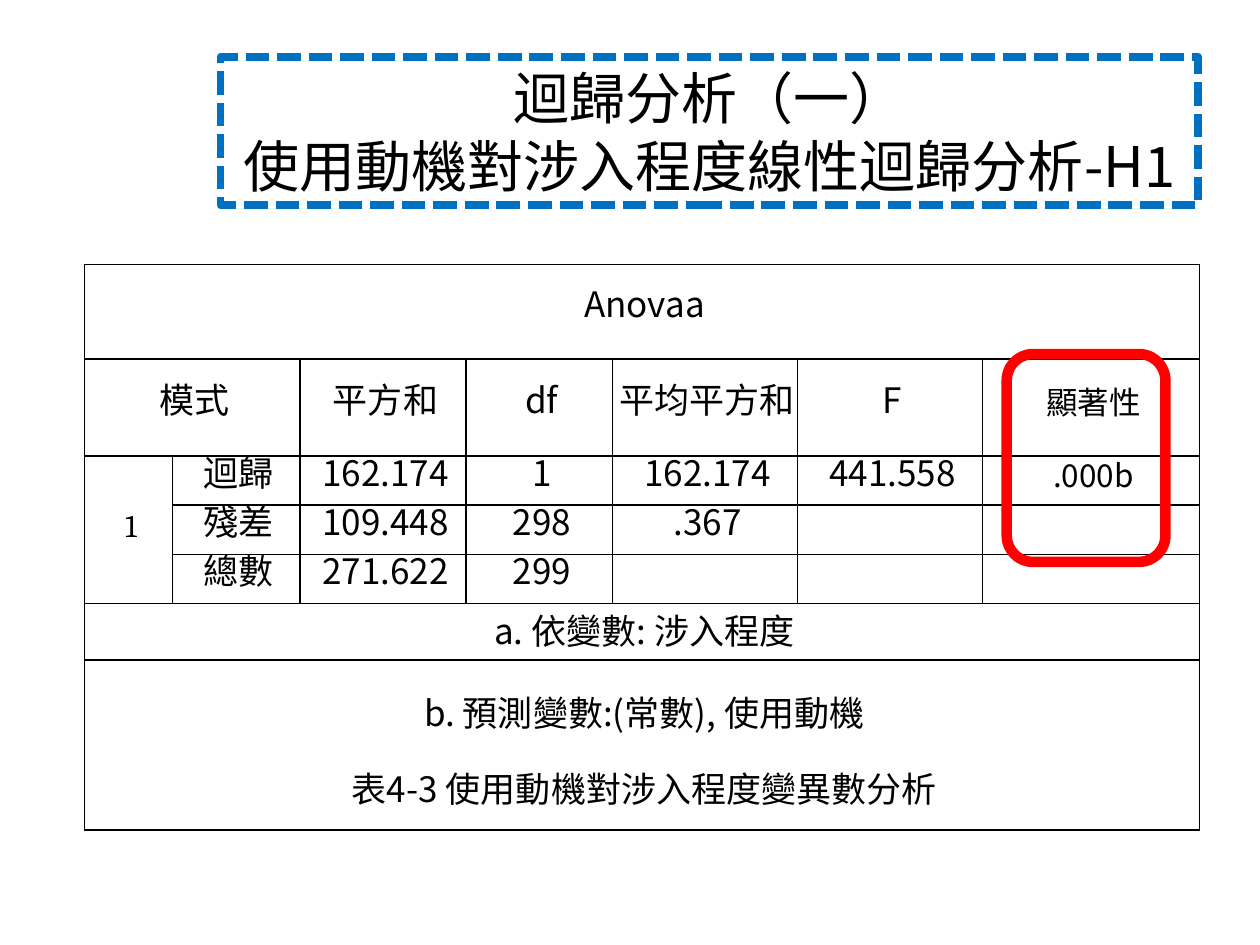
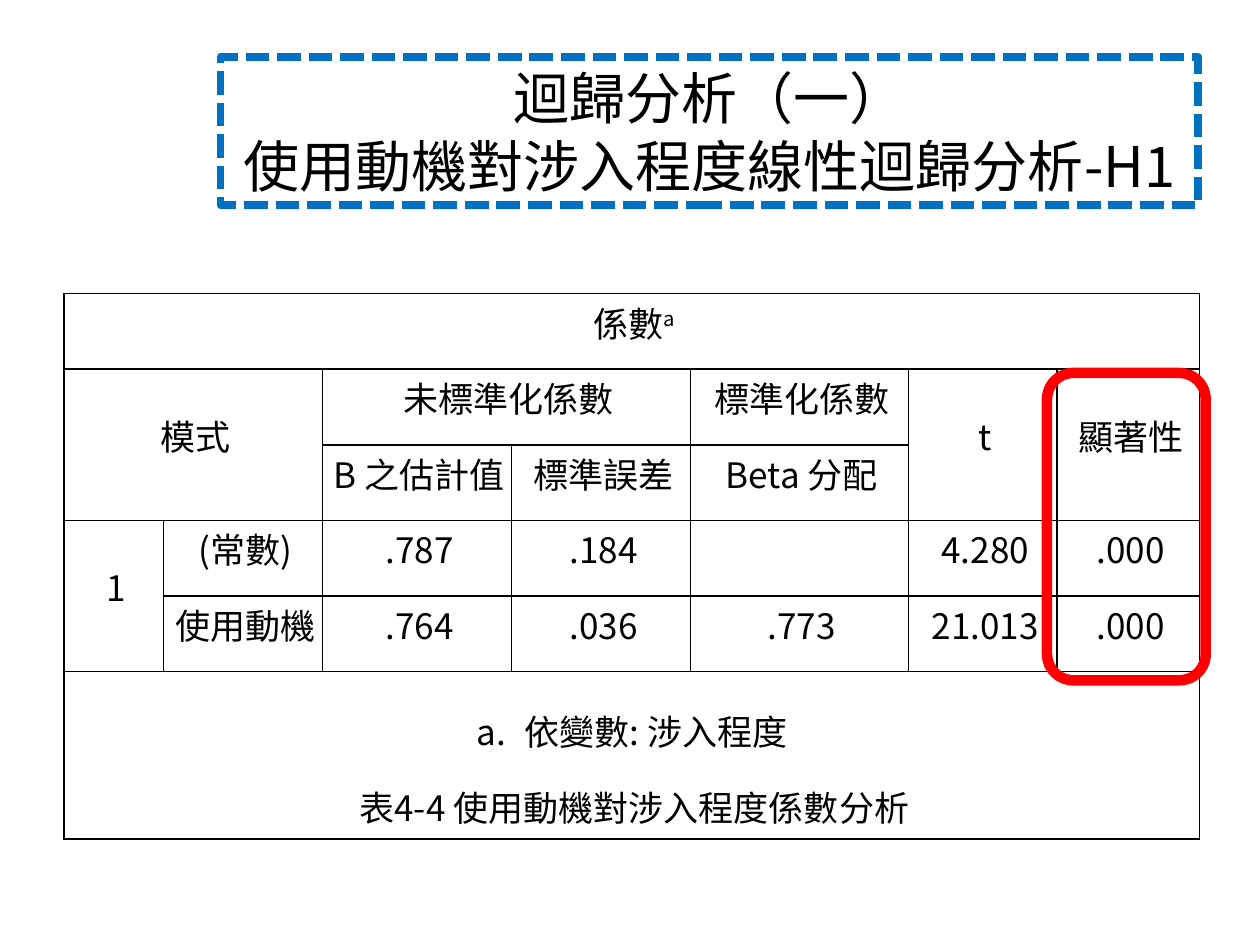
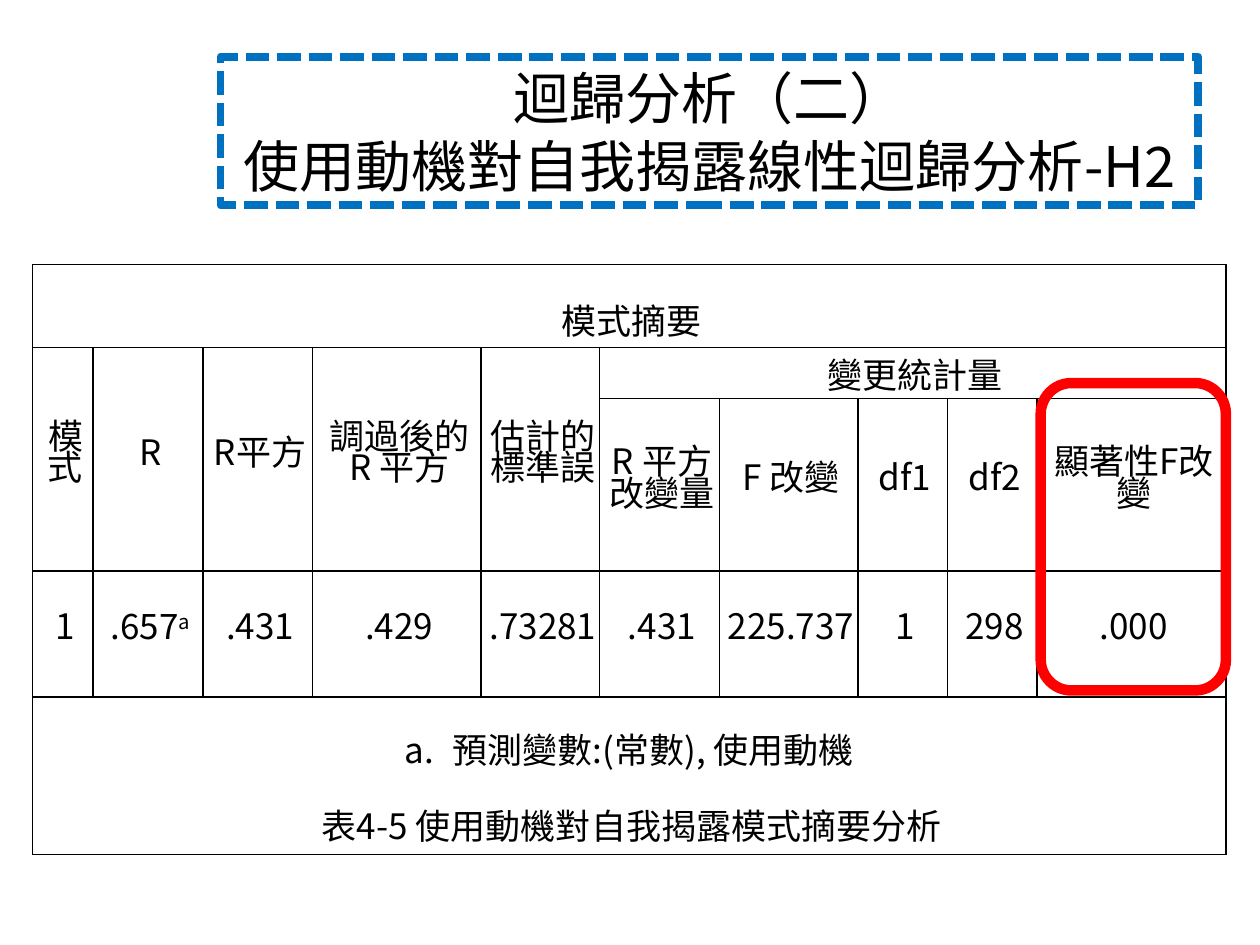
from pptx import Presentation
from pptx import util as u
from pptx.dml.color import RGBColor
from pptx.enum import dml, shapes, text
from lxml import etree

BLACK = RGBColor(0, 0, 0)
WHITE = RGBColor(255, 255, 255)
BLUE = RGBColor(0, 0x70, 0xC0)
RED = RGBColor(255, 0, 0)
FACE = "Noto Sans CJK SC"
NS = "http://schemas.openxmlformats.org/drawingml/2006/main"

MOTIVE = ["迴歸分析（一）", "使用動機對涉入程度線性迴歸分析-H1"]
REVEAL = ["迴歸分析（二）", "使用動機對自我揭露線性迴歸分析-H2"]

PAGES = [
    dict(
        title=MOTIVE, left=0.67, top=2.1, ring=(7.99, 2.81, 1.26, 1.65),
        cols=[0.7, 1.01, 1.32, 1.16, 1.47, 1.47, 1.72],
        rows=[0.75, 0.77, 0.39, 0.39, 0.39, 0.45, 1.35],
        cells=[
            ["Anovaa"],
            ["模式", "", "平方和", "df", "平均平方和", "F", "顯著性"],
            ["1", "迴歸", "162.174", "1", "162.174", "441.558", ".000b"],
            ["", "殘差", "109.448", "298", ".367"],
            ["", "總數", "271.622", "299"],
            ["a. 依變數: 涉入程度"],
            ["b. 預測變數:(常數), 使用動機\n表4-3 使用動機對涉入程度變異數分析"],
        ],
        spans={(0, 0): (1, 7), (1, 0): (1, 2), (2, 0): (3, 1), (5, 0): (1, 7), (6, 0): (1, 7)},
        small=[(1, 6), (2, 0), (2, 6)], serif=[(2, 0)],
        space={(5, 0): 1.0, (6, 0): 1.5}, high=[(5, 0), (6, 0)],
    ),
    dict(
        title=MOTIVE, left=0.51, top=2.33, ring=(8.31, 2.96, 1.26, 2.44),
        cols=[0.79, 1.26, 1.5, 1.42, 1.73, 1.18, 1.13],
        rows=[0.6] * 5 + [1.33],
        cells=[
            ["係數^a"],
            ["模式", "", "未標準化係數", "", "標準化係數", "t", "顯著性"],
            ["", "", "B 之估計值", "標準誤差", "Beta 分配"],
            ["1", "(常數)", ".787", ".184", "", "4.280", ".000"],
            ["", "使用動機", ".764", ".036", ".773", "21.013", ".000"],
            ["#依變數: 涉入程度\n表4-4 使用動機對涉入程度係數分析"],
        ],
        spans={(0, 0): (1, 7), (1, 0): (2, 2), (1, 2): (1, 2), (1, 5): (2, 1),
               (1, 6): (2, 1), (3, 0): (2, 1), (5, 0): (1, 7)},
        small=[], serif=[], space={(5, 0): 1.5}, high=[],
    ),
    dict(
        title=REVEAL, left=0.26, top=2.1, ring=(8.26, 3.04, 1.47, 2.44),
        cols=[0.48, 0.87, 0.87, 1.34, 0.94, 0.95, 1.1, 0.71, 0.71, 1.5],
        rows=[0.66, 0.33, 1.37, 1, 1.25],
        cells=[
            ["模式摘要"],
            ["模式", "R", "R平方", "調過後的 R 平方", "估計的標準誤", "變更統計量"],
            [""] * 5 + ["R 平方改變量", "F 改變", "df1", "df2", "顯著性F改變"],
            ["1", ".657^a", ".431", ".429", ".73281", ".431", "225.737", "1", "298", ".000"],
            ["#預測變數:(常數), 使用動機\n表4-5 使用動機對自我揭露模式摘要分析"],
        ],
        spans={(0, 0): (1, 10), (1, 5): (1, 5), (4, 0): (1, 10),
               **{(1, c): (2, 1) for c in range(5)}},
        small=[], serif=[], space={(0, 0): 1.5, (1, 5): 1.0, (4, 0): 1.5}, high=[(4, 0)],
    ),
]


def write(frame, lines, size, face=FACE):
    for i, line in enumerate(lines):
        para = frame.paragraphs[0] if i == 0 else frame.add_paragraph()
        para.alignment = text.PP_ALIGN.CENTER
        for n, part in enumerate(line.lstrip("#").split("^")):
            run = para.add_run()
            run.text = part
            run.font.size = u.Pt(size)
            run.font.name = face
            run.font.color.rgb = BLACK
            props = run.font._element
            etree.SubElement(props, f"{{{NS}}}ea", typeface=face)
            if n:
                props.set("baseline", "30000")


def rule(cell):
    props = cell._tc.get_or_add_tcPr()
    for side in ("lnL", "lnR", "lnT", "lnB"):
        line = etree.SubElement(props, f"{{{NS}}}{side}", w=str(u.Pt(1)))
        fill = etree.SubElement(line, f"{{{NS}}}solidFill")
        etree.SubElement(fill, f"{{{NS}}}srgbClr", val=str(BLACK))


prs = Presentation()
prs.slide_width, prs.slide_height = u.Inches(10), u.Inches(7.5)

for page in PAGES:
    slide = prs.slides.add_slide(prs.slide_layouts[5])
    title = slide.shapes.title
    title.left, title.top = u.Inches(1.75), u.Inches(0.45)
    title.width, title.height = u.Inches(7.76), u.Inches(1.18)
    title.fill.solid()
    title.fill.fore_color.rgb = WHITE
    title.line.color.rgb = BLUE
    title.line.width = u.Pt(4.5)
    title.line.dash_style = dml.MSO_LINE.SQUARE_DOT
    title.text_frame.auto_size = text.MSO_AUTO_SIZE.NONE
    write(title.text_frame, page["title"], 32)

    cols, rows = page["cols"], page["rows"]
    grid = slide.shapes.add_table(
        len(rows), len(cols), u.Inches(page["left"]), u.Inches(page["top"]),
        u.Inches(sum(cols)), u.Inches(sum(rows))).table
    grid.first_row = grid.horz_banding = False
    for col, wide in zip(grid.columns, cols):
        col.width = u.Inches(wide)
    for row, tall in zip(grid.rows, rows):
        row.height = u.Inches(tall)
    for cell in grid.iter_cells():
        rule(cell)
        cell.fill.background()
        cell.margin_left = cell.margin_right = cell.margin_top = cell.margin_bottom = 0
        cell.vertical_anchor = text.MSO_ANCHOR.MIDDLE
    for (r, c), (tall, wide) in page["spans"].items():
        grid.cell(r, c).merge(grid.cell(r + tall - 1, c + wide - 1))

    for r, words in enumerate(page["cells"]):
        for c, word in enumerate(words):
            if not word:
                continue
            spot, cell = (r, c), grid.cell(r, c)
            lines = word.split("\n")
            if spot in page["high"]:
                cell.vertical_anchor = text.MSO_ANCHOR.TOP
            write(cell.text_frame, lines, 18 if spot in page["small"] else 20,
                  "Cambria" if spot in page["serif"] else FACE)
            for para, line in zip(cell.text_frame.paragraphs, lines):
                para.line_spacing = page["space"].get(spot, u.Pt(18))
                props = para._p.get_or_add_pPr()
                props.set("marL", str(u.Inches(0.04)))
                if line.startswith("#"):
                    props.set("marL", str(u.Inches(0.38)))
                    props.set("indent", str(u.Inches(-0.38)))
                    etree.SubElement(props, f"{{{NS}}}buAutoNum", type="alphaLcPeriod")

    ring = slide.shapes.add_shape(
        shapes.MSO_SHAPE.ROUNDED_RECTANGLE, *[u.Inches(v) for v in page["ring"]])
    ring.shadow.inherit = False
    ring.fill.background()
    ring.line.color.rgb = RED
    ring.line.width = u.Pt(6)

prs.save("out.pptx")
